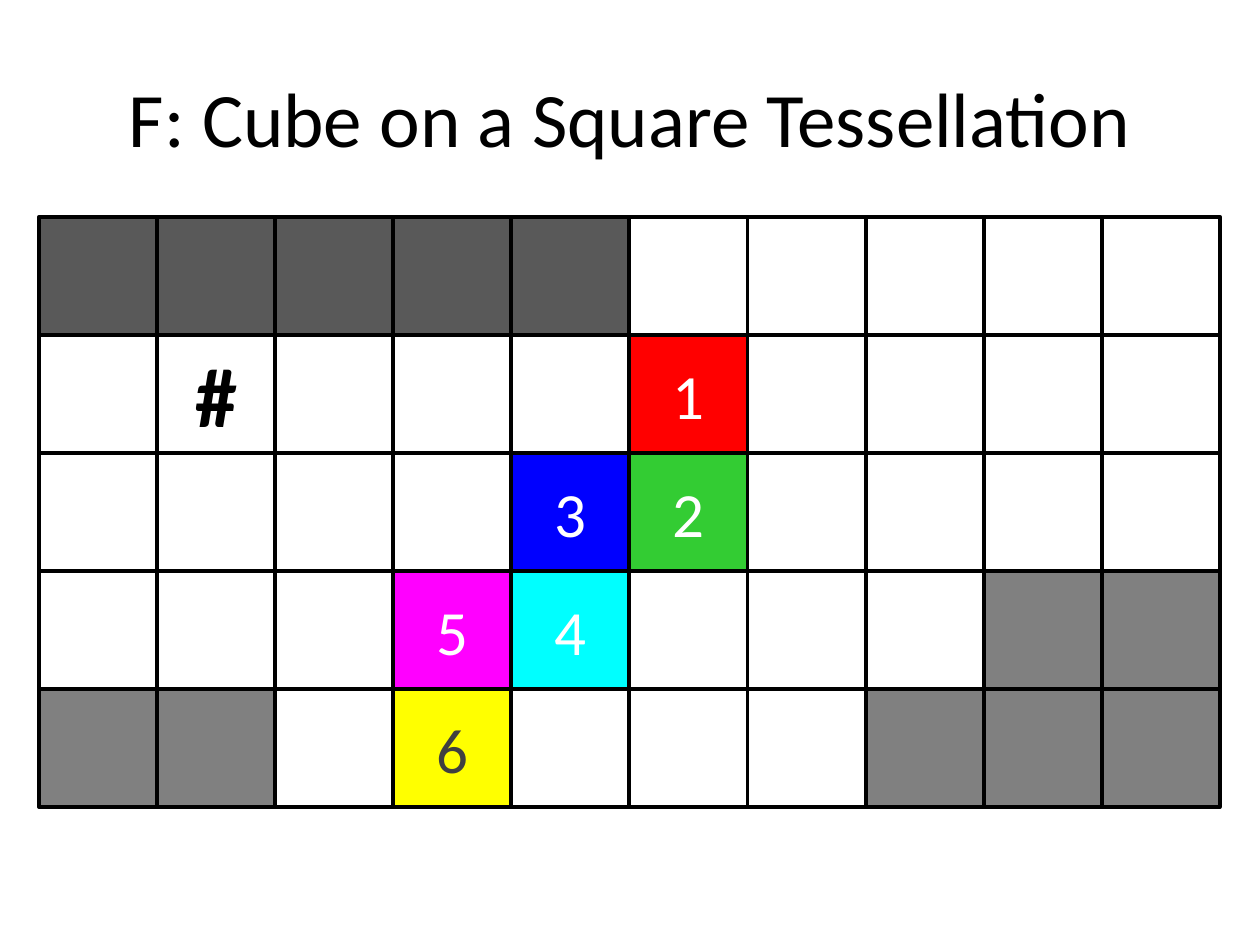
"""Build the slide of a cube net laid out on a square tessellation."""
from dataclasses import dataclass

import pptx
import pptx.dml.color
import pptx.enum.shapes
import pptx.enum.text
import pptx.util

Cm = pptx.util.Cm
Pt = pptx.util.Pt

FONT = "Calibri"
CELL = 2.38
LEFT, TOP = 0.79, 4.37
GRID = [
    "DDDDD.....",
    ".#...1....",
    "....32....",
    "...54...GG",
    "GG.6...GGG",
]


@dataclass
class Style:
    fill: str
    label: str = ""
    color: str = "FFFFFF"
    size: int = 36
    bold: bool = False


STYLES = {
    ".": Style("FFFFFF"),
    "D": Style("595959"),
    "G": Style("808080"),
    "#": Style("FFFFFF", "#", "000000", 48, True),
    "1": Style("FF0000", "1"),
    "2": Style("33CC33", "2"),
    "3": Style("0000FF", "3"),
    "4": Style("00FFFF", "4"),
    "5": Style("FF00FF", "5"),
    "6": Style("FFFF00", "6", "404040"),
}


def rgb(value: str) -> pptx.dml.color.RGBColor:
    return pptx.dml.color.RGBColor.from_string(value)


def write(sp, text: str, size: int, color: str, bold: bool = False) -> None:
    tf = sp.text_frame
    tf.word_wrap = True
    tf.vertical_anchor = pptx.enum.text.MSO_ANCHOR.MIDDLE
    p = tf.paragraphs[0]
    p.alignment = pptx.enum.text.PP_ALIGN.CENTER
    r = p.add_run()
    r.text = text
    r.font.name = FONT
    r.font.size = Pt(size)
    r.font.bold = bold
    r.font.color.rgb = rgb(color)


def draw_cell(s, row: int, col: int, style: Style) -> None:
    sp = s.shapes.add_shape(
        pptx.enum.shapes.MSO_SHAPE.RECTANGLE,
        Cm(LEFT + col * CELL), Cm(TOP + row * CELL), Cm(CELL), Cm(CELL))
    sp.shadow.inherit = False
    sp.fill.solid()
    sp.fill.fore_color.rgb = rgb(style.fill)
    sp.line.color.rgb = rgb("000000")
    sp.line.width = Pt(2.25)
    if style.label:
        write(sp, style.label, style.size, style.color, style.bold)


def main() -> None:
    prs = pptx.Presentation()
    prs.slide_width, prs.slide_height = Cm(25.4), Cm(19.05)
    s = prs.slides.add_slide(prs.slide_layouts[6])
    title = s.shapes.add_textbox(Cm(1.27), Cm(0.76), Cm(22.86), Cm(3.18))
    write(title, "F: Cube on a Square Tessellation", 44, "000000")
    for row, keys in enumerate(GRID):
        for col, key in enumerate(keys):
            draw_cell(s, row, col, STYLES[key])
    prs.save("out.pptx")


if __name__ == "__main__":
    main()
